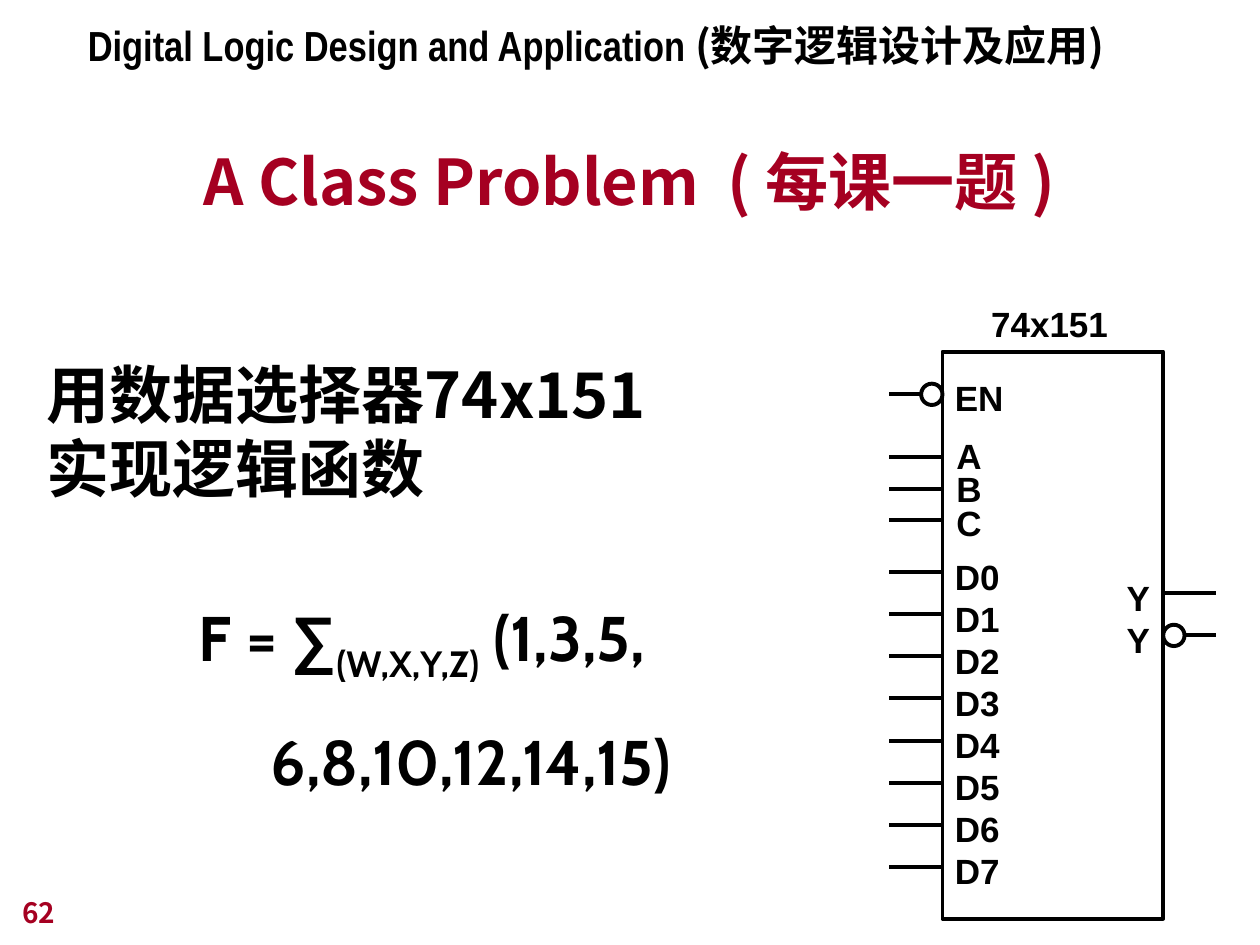
from pptx import Presentation
from pptx import util as u
from pptx.dml.color import RGBColor
from pptx.enum import shapes, text
from pptx.oxml.ns import qn
from lxml import etree

BLACK = RGBColor(0x00, 0x00, 0x00)
CRIMSON = RGBColor(0xA5, 0x00, 0x21)
CJK = "Noto Sans CJK JP"


def style(run, size, face, color=BLACK):
    run.font.size = u.Pt(size)
    run.font.bold = True
    run.font.name = face
    run.font.color.rgb = color
    east_asian = etree.SubElement(run.font._element, qn("a:ea"))
    east_asian.set("typeface", CJK)


def add_text(parent, lines, box, size, face, color=BLACK, spacing=None):
    frame = parent.add_textbox(*[u.Cm(v) for v in box]).text_frame
    frame.word_wrap = True
    frame.text = "\n".join(lines)
    for paragraph in frame.paragraphs:
        paragraph.line_spacing = spacing
        for run in paragraph.runs:
            style(run, size, face, color)
    return frame


prs = Presentation()
prs.slide_width, prs.slide_height = u.Cm(25.4), u.Cm(19.05)
slide = prs.slides.add_slide(prs.slide_layouts[5])

task = slide.shapes.title
task.left, task.top, task.width, task.height = u.Cm(0.69), u.Cm(5.92), u.Cm(14.2), u.Cm(4.39)
task.text_frame.text = "用数据选择器74x151\v实现逻辑函数"
task.text_frame.auto_size = text.MSO_AUTO_SIZE.NONE
task.text_frame.vertical_anchor = text.MSO_ANCHOR.BOTTOM
task_line = task.text_frame.paragraphs[0]
task_line.alignment = text.PP_ALIGN.LEFT
task_line.line_spacing = u.Pt(42)
for run in task_line.runs:
    style(run, 36, CJK)

formula = add_text(slide.shapes, ["", "6,8,10,12,14,15)"], (3.76, 11.07, 11.66, 5.16),
                   36, "Cabin", spacing=1.5)
for part, face in [("F = ", "Cabin"), ("∑", "Arial"), ("(W,X,Y,Z)", "Cabin"), (" (1,3,5,", "Cabin")]:
    run = formula.paragraphs[0].add_run()
    run.text = part
    style(run, 36, face)
    if part == "(W,X,Y,Z)":
        run.font._element.set("baseline", "-25000")
formula.paragraphs[1]._p.get_or_add_pPr().set("marL", str(u.Cm(1.45)))

course = add_text(slide.shapes, ["Digital Logic Design and Application "], (1.52, 0.27, 21.36, 1.27),
                  24, "Arial Narrow", spacing=u.Pt(29))
course_chinese = course.paragraphs[0].add_run()
course_chinese.text = "(数字逻辑设计及应用)"
style(course_chinese, 24, CJK)

heading = add_text(slide.shapes, [""], (1.9, 2.41, 21.59, 2.11), 36, CJK)
heading.vertical_anchor = text.MSO_ANCHOR.BOTTOM
heading_line = heading.paragraphs[0]
heading_line.alignment = text.PP_ALIGN.CENTER
for part, tracking in [("A Class Problem", 0), (" ", 800), ("( 每课一题 )", 0)]:
    run = heading_line.add_run()
    run.text = part
    style(run, 36, CJK, CRIMSON)
    run.font._element.set("spc", str(tracking))

page = add_text(slide.shapes, ["62"], (0.2, 17.58, 5.28, 1.27), 16, CJK, CRIMSON)
page.vertical_anchor = text.MSO_ANCHOR.BOTTOM

chip = slide.shapes.add_group_shape().shapes
body_left, body_right, bubble = 19.0, 23.45, 0.43
pin_left, pin_right = 17.93, 24.51
enable_y, output_y, inverted_y = 7.95, 11.96, 12.81

outlines = [
    (shapes.MSO_SHAPE.RECTANGLE, body_left, 7.09, body_right - body_left, 11.43),
    (shapes.MSO_SHAPE.OVAL, body_left - bubble, enable_y - bubble / 2, bubble, bubble),
    (shapes.MSO_SHAPE.OVAL, body_right, inverted_y - bubble / 2, bubble, bubble),
]
for kind, *box in outlines:
    outline = chip.add_shape(kind, *[u.Cm(v) for v in box])
    outline.shadow.inherit = False
    outline.fill.background()
    outline.line.color.rgb = BLACK
    outline.line.width = u.Pt(2.25)

select_pins = [(body_left, pin_left, 9.22 + 0.635 * i) for i in range(3)]
data_pins = [(body_left, pin_left, 11.53 + 0.85 * i) for i in range(8)]
other_pins = [
    (body_left - bubble, pin_left, enable_y),
    (body_right, pin_right, output_y),
    (body_right + bubble, pin_right, inverted_y),
]
for start, end, y in select_pins + data_pins + other_pins:
    pin = chip.add_connector(shapes.MSO_CONNECTOR.STRAIGHT, u.Cm(start), u.Cm(y), u.Cm(end), u.Cm(y))
    pin.line.color.rgb = BLACK
    pin.line.width = u.Pt(2.25)
    etree.SubElement(pin._element.spPr, qn("a:effectLst"))

pin_labels = [
    (["EN"], (19.0, 7.39, 1.7, 1.19), 1.1),
    (["A", "B", "C"], (19.03, 8.79, 1.1, 2.29), 0.8),
    ([f"D{i}" for i in range(8)], (19.0, 11.07, 1.7, 7.04), None),
    (["Y", "Y"], (22.46, 11.5, 1.0, 1.96), None),
    (["74x151"], (19.73, 5.97, 3.1, 1.12), None),
]
for lines, box, spacing in pin_labels:
    add_text(chip, lines, box, 20, "Arial", spacing=spacing)

prs.save("out.pptx")
